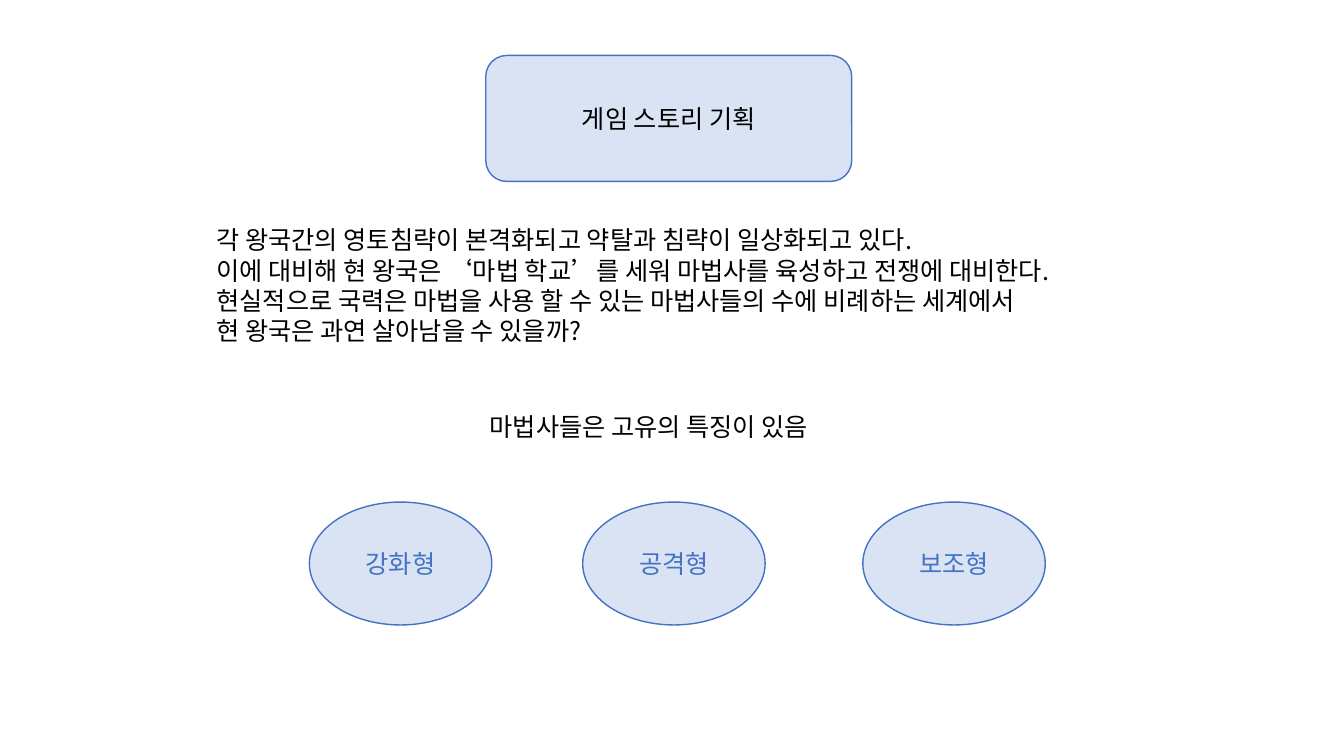
from lxml import etree
from pptx import Presentation
from pptx import util as u
from pptx.dml.color import RGBColor
from pptx.enum import shapes, text
from pptx.oxml import ns

COLORS = {"fill": "DAE3F3", "accent": "4472C4", "ink": "000000", "shadow": "6E9BF0"}
FONT = "Noto Sans CJK KR"
STORY = [
    "각 왕국간의 영토침략이 본격화되고 약탈과 침략이 일상화되고 있다.",
    "이에 대비해 현 왕국은 ‘마법 학교’를 세워 마법사를 육성하고 전쟁에 대비한다.",
    "현실적으로 국력은 마법을 사용 할 수 있는 마법사들의 수에 비례하는 세계에서",
    "현 왕국은 과연 살아남을 수 있을까?",
]


def write(box, lines, color, para_format, shadow=False):
    """Fill a box with one paragraph per line, optionally with shadowed letters."""
    frame = box.text_frame
    frame.word_wrap = True
    frame.text = "\n".join(lines)
    for para in frame.paragraphs:
        for name, value in para_format.items():
            setattr(para, name, value)
        span = para.runs[0]
        for name, value in {"size": u.Pt(18), "name": FONT}.items():
            setattr(span.font, name, value)
        span.font.color.rgb = RGBColor.from_string(COLORS[color])
        props = span.font._element
        latin = props.find(ns.qn("a:latin"))
        if shadow:
            effects = etree.Element(ns.qn("a:effectLst"))
            cast = etree.SubElement(effects, ns.qn("a:outerShdw"),
                                    dist="19050", dir="2700000", algn="tl")
            etree.SubElement(cast, ns.qn("a:srgbClr"), val=COLORS["shadow"])
            latin.addprevious(effects)
        east_asian = etree.Element(ns.qn("a:ea"), typeface=FONT)
        latin.addnext(east_asian)


def add_label(page, kind, place, label, color):
    """Add a pale blue shape with a centred, shadowed label."""
    box = page.shapes.add_shape(kind, *map(u.Pt, place))
    box.shadow.inherit = False
    box.fill.solid()
    box.fill.fore_color.rgb = RGBColor.from_string(COLORS["fill"])
    box.line.color.rgb = RGBColor.from_string(COLORS["accent"])
    box.line.width = u.Pt(1)
    box.text_frame.vertical_anchor = text.MSO_ANCHOR.MIDDLE
    write(box, [label], color, {"alignment": text.PP_ALIGN.CENTER}, shadow=True)


deck = Presentation()
deck.slide_width, deck.slide_height = u.Pt(960), u.Pt(540)
page = deck.slides.add_slide(deck.slide_layouts[6])

add_label(page, shapes.MSO_SHAPE.ROUNDED_RECTANGLE, (347, 39.6, 261.4, 90),
          "게임 스토리 기획", "ink")

body_format = {"alignment": text.PP_ALIGN.LEFT, "line_spacing": u.Pt(21.6)}
for place, lines in [
    ((147.6, 157, 660.2, 116.6), STORY),
    ((342.7, 290.2, 276.5, 51.1), ["마법사들은 고유의 특징이 있음"]),
]:
    box = page.shapes.add_textbox(*map(u.Pt, place))
    write(box, lines, "ink", body_format)

for left, wizard_type in [(221, "강화형"), (416.2, "공격형"), (616.3, "보조형")]:
    add_label(page, shapes.MSO_SHAPE.OVAL, (left, 358.6, 130.3, 87.8),
              wizard_type, "accent")

deck.save("out.pptx")
